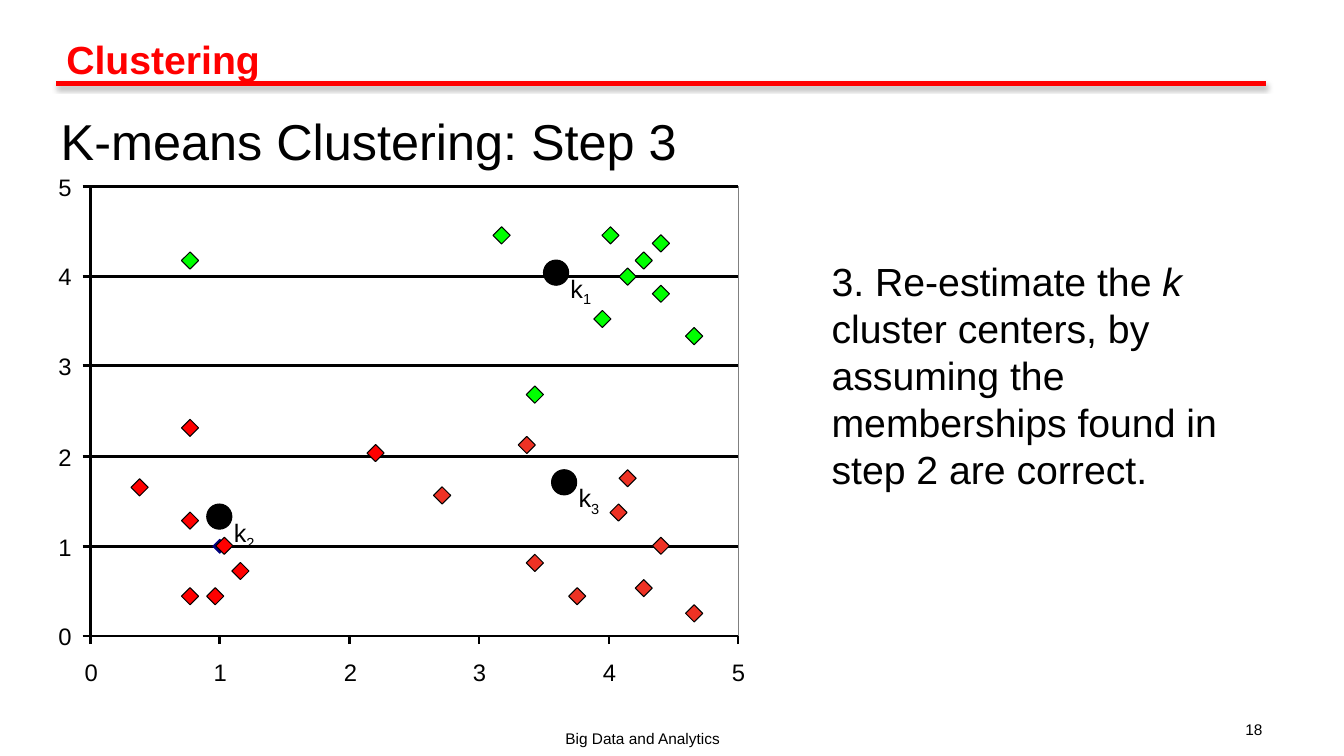
"""Builds the slide on step 3 of K-means clustering."""
from lxml.etree import SubElement
from pptx import Presentation
from pptx.dml.color import RGBColor
from pptx.enum.shapes import MSO_CONNECTOR, MSO_SHAPE
from pptx.enum.text import MSO_ANCHOR, PP_ALIGN
from pptx.oxml.ns import qn
from pptx.util import Emu, Pt

PX = 9144
BLACK = RGBColor(0x00, 0x00, 0x00)
GRAY = RGBColor(0x80, 0x80, 0x80)
NAVY = RGBColor(0x00, 0x00, 0x80)
RED = RGBColor(0xFF, 0x00, 0x00)
BRICK = RGBColor(0xEE, 0x32, 0x24)
GREEN = RGBColor(0x00, 0xFF, 0x00)

PLOT_LEFT, PLOT_TOP, PLOT_WIDTH, PLOT_HEIGHT = 90, 185, 642, 446
PLOT_RIGHT, PLOT_BOTTOM = PLOT_LEFT + PLOT_WIDTH, PLOT_TOP + PLOT_HEIGHT
AXIS_MAX, TICK = 5, 8
POINT_SIZE, CENTER_SIZE = 17, 25

CLUSTERS = [
    (RED, [(214, 533), (230, 558), (205, 583), (180, 508), (180, 416),
           (180, 583), (130, 475), (364, 441)]),
    (GREEN, [(180, 250), (597, 225), (647, 233), (630, 250), (614, 266),
             (647, 283), (680, 325), (489, 225), (522, 383), (589, 308)]),
    (BRICK, [(522, 550), (564, 583), (605, 500), (514, 433), (430, 483),
             (647, 533), (630, 575), (614, 466), (680, 600)]),
]
CENTERS = [("1", 539, 258), ("2", 205, 500), ("3", 547, 466)]


def px(*lengths):
    """Turn lengths in px into EMU."""
    return [Emu(length * PX) for length in lengths]


def add_line(slide, start, end, color=BLACK, width=0, shadow=False):
    """Add a straight line, with a soft shadow below it on request."""
    line = slide.shapes.add_connector(MSO_CONNECTOR.STRAIGHT, *px(*start, *end))
    line.line.color.rgb = color
    line.line.width = Pt(width)
    effects = SubElement(line._element.spPr, qn("a:effectLst"))
    if shadow:
        outer = SubElement(effects, qn("a:outerShdw"), blurRad=str(Pt(3.1)),
                           dist=str(Pt(1.8)), dir="5400000", rotWithShape="0")
        shade = SubElement(outer, qn("a:srgbClr"), val=str(BLACK))
        SubElement(shade, qn("a:alpha"), val="35000")


def add_figure(shapes, kind, box, fill, color=BLACK, width=0.75):
    """Add a preset shape, hollow when the fill is None."""
    shape = shapes.add_shape(kind, *px(*box))
    shape.shadow.inherit = False
    if fill is None:
        shape.fill.background()
    else:
        shape.fill.solid()
        shape.fill.fore_color.rgb = fill
    shape.line.color.rgb = color
    shape.line.width = Pt(width)


def add_text(shapes, box, size, runs, color=BLACK, align=PP_ALIGN.LEFT,
             anchor=MSO_ANCHOR.TOP, tight=False):
    """Add one paragraph of (text, style) runs; tight drops insets and wrap."""
    frame = shapes.add_textbox(*px(*box)).text_frame
    frame.word_wrap = not tight
    frame.vertical_anchor = anchor
    if tight:
        frame.margin_left = frame.margin_right = 0
        frame.margin_top = frame.margin_bottom = 0
    paragraph = frame.paragraphs[0]
    paragraph.alignment = align
    for text, style in runs:
        run = paragraph.add_run()
        run.text = text
        run.font.name = "Arial"
        run.font.size = Pt(size)
        run.font.color.rgb = color
        if style == "bold":
            run.font.bold = True
        elif style == "italic":
            run.font.italic = True
        elif style == "subscript":
            run._r.get_or_add_rPr().set("baseline", "-25000")


def add_axes(slide):
    """Add the frame, grid lines, ticks and numbers of the plot."""
    add_figure(slide.shapes, MSO_SHAPE.RECTANGLE,
               (PLOT_LEFT, PLOT_TOP, PLOT_WIDTH, PLOT_HEIGHT), None, GRAY, 0.63)
    add_line(slide, (PLOT_LEFT, PLOT_TOP), (PLOT_LEFT, PLOT_BOTTOM))
    for value in range(AXIS_MAX + 1):
        x = PLOT_LEFT + round(value * PLOT_WIDTH / AXIS_MAX)
        y = PLOT_BOTTOM - round(value * PLOT_HEIGHT / AXIS_MAX)
        add_line(slide, (PLOT_LEFT, y), (PLOT_RIGHT, y))
        add_line(slide, (PLOT_LEFT - TICK, y), (PLOT_LEFT, y))
        add_line(slide, (x, PLOT_BOTTOM + TICK), (x, PLOT_BOTTOM))
        for left, top in ((58, y - 14), (x - 6, 652)):
            add_text(slide.shapes, (left, top, 23, 31), 17,
                     [(str(value), None)], tight=True)


def add_center(slide, number, left, top):
    """Add a cluster center grouped with its label."""
    group = slide.shapes.add_group_shape()
    add_figure(group.shapes, MSO_SHAPE.OVAL,
               (left, top, CENTER_SIZE, CENTER_SIZE), BLACK)
    add_text(group.shapes, (left + 17, top + 8, 58, 50), 18,
             [("k", None), (number, "subscript")])


def add_points(slide):
    """Add the data points in the color of their cluster."""
    add_figure(slide.shapes, MSO_SHAPE.DIAMOND, (211, 535, 14, 14),
               NAVY, NAVY, 0.63)
    for color, points in CLUSTERS:
        for left, top in points:
            add_figure(slide.shapes, MSO_SHAPE.DIAMOND,
                       (left, top, POINT_SIZE, POINT_SIZE), color)


def main():
    """Build and save the slide."""
    presentation = Presentation()
    presentation.slide_width, presentation.slide_height = px(1333, 750)
    slide = presentation.slides.add_slide(presentation.slide_layouts[6])
    shapes = slide.shapes
    add_line(slide, (56, 83), (1256, 83), RED, 4, shadow=True)
    add_text(shapes, (56, 30, 1200, 72), 28, [("Clustering", "bold")], RED)
    add_text(shapes, (-59, 110, 850, 58), 36,
             [("K-means Clustering: Step 3", None)],
             align=PP_ALIGN.CENTER, anchor=MSO_ANCHOR.MIDDLE)
    add_axes(slide)
    add_points(slide)
    for center in CENTERS:
        add_center(slide, *center)
    add_text(shapes, (815, 250, 464, 246), 28, [
        ("3. Re-estimate the ", None), ("k", "italic"),
        (" cluster centers, by assuming the memberships found in "
         "step 2 are correct.", None)])
    add_text(shapes, (358, 718, 559, 24), 11,
             [("Big Data and Analytics", None)], align=PP_ALIGN.CENTER)
    add_text(shapes, (951, 710, 311, 24), 11, [("18", None)],
             align=PP_ALIGN.RIGHT)
    presentation.save("out.pptx")


if __name__ == "__main__":
    main()
